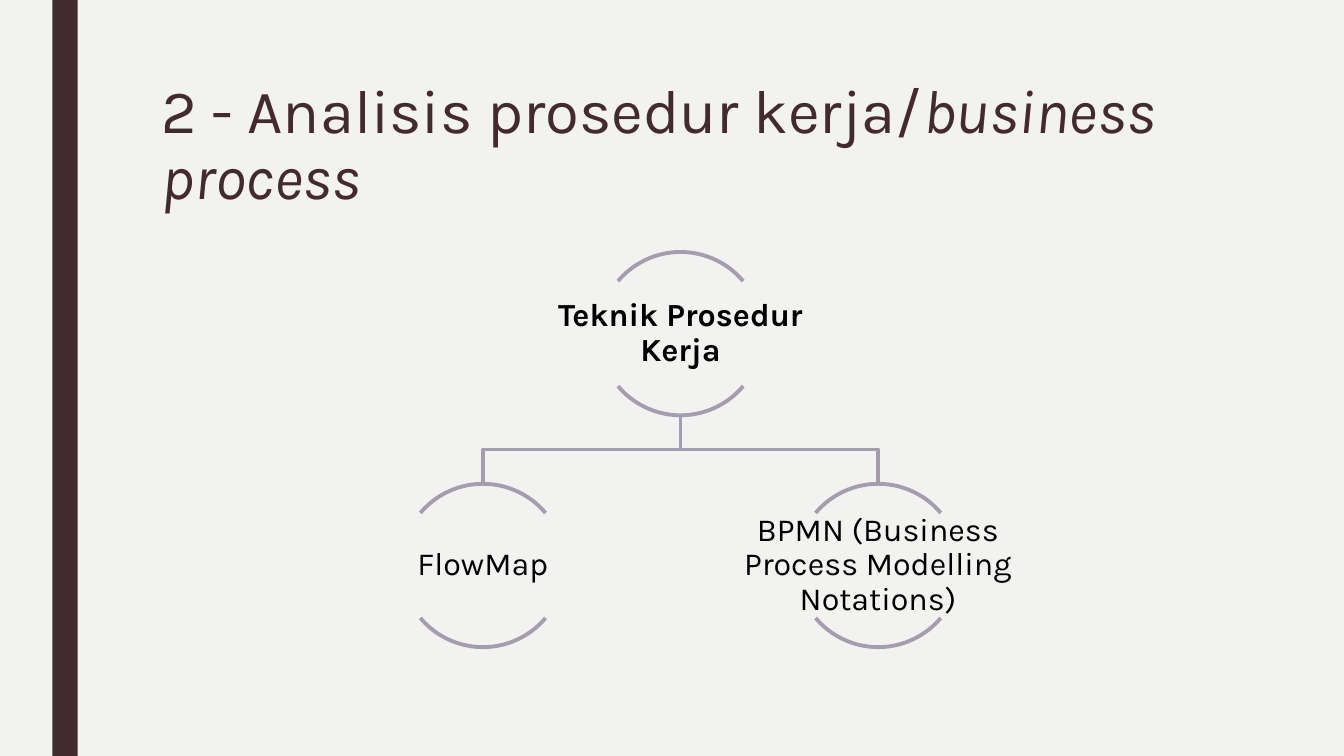
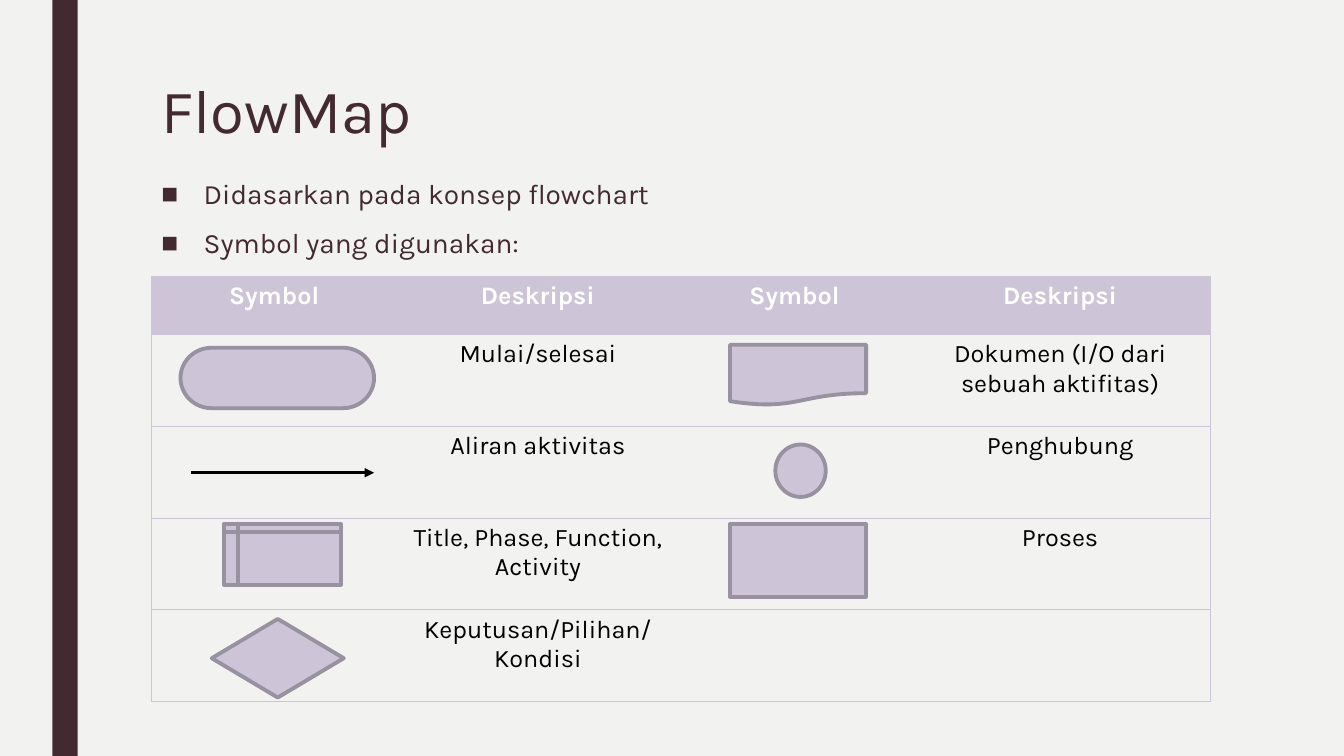
from lxml.etree import SubElement
from pptx import Presentation
from pptx.dml.color import RGBColor
from pptx.enum.shapes import MSO_CONNECTOR, MSO_SHAPE as SHAPE
from pptx.enum.text import MSO_ANCHOR as ANCHOR, MSO_AUTO_SIZE, PP_ALIGN as ALIGN
from pptx.oxml.ns import qn
from pptx.util import Inches, Pt

FONT = "Karla"
PAPER, PLUM, LILAC = "F2F2F0", "432A30", "CDC4D8"
BRANCH, OUTLINE, BLACK, WHITE = "A49DAD", "9891A0", "000000", "FFFFFF"

TITLES = [
    [("2 - Analisis prosedur kerja/", False), ("business process", True)],
    [("FlowMap", False)],
]
ROOT = ("Teknik Prosedur Kerja", 6.75, 2.5)
CHILDREN = [
    ("FlowMap", 4.79, 4.8),
    ("BPMN (Business Process Modelling Notations)", 8.71, 4.8),
]
CIRCLE = 1.62
ARCS = [(132, 192), (24, 84)]

BULLETS = ["Didasarkan pada konsep flowchart", "Symbol yang digunakan:"]
ROWS = [
    ["Symbol", "Deskripsi", "Symbol", "Deskripsi"],
    ["", "Mulai/selesai", "", "Dokumen (I/O dari sebuah aktifitas)"],
    ["", "Aliran aktivitas", "", "Penghubung"],
    ["", "Title, Phase, Function, Activity", "", "Proses"],
    ["", "Keputusan/Pilihan/Kondisi", "", ""],
]
COL_WIDTHS = [2.44, 2.79, 2.3, 2.97]
ROW_HEIGHTS = [0.58] + [0.91] * 4
SYMBOLS = [
    (SHAPE.FLOWCHART_TERMINATOR, 1.79, 3.45, 1.92, 0.6),
    (SHAPE.FLOWCHART_INTERNAL_STORAGE, 2.22, 5.2, 1.16, 0.6),
    (SHAPE.FLOWCHART_DECISION, 2.1, 6.14, 1.31, 0.78),
    (SHAPE.FLOWCHART_DOCUMENT, 7.24, 3.42, 1.35, 0.6),
    (SHAPE.FLOWCHART_CONNECTOR, 7.69, 4.41, 0.5, 0.52),
    (SHAPE.FLOWCHART_PROCESS, 7.24, 5.2, 1.35, 0.72),
]
FLOW_ARROW = (1.89, 4.69, 3.71, 4.69)
NO_STYLE = "{2D5ABB26-0587-4C30-8999-92F81FD0307C}"


def rgb(value):
    return RGBColor.from_string(value)


def inches(*values):
    return [Inches(v) for v in values]


def place(shape, *box):
    shape.left, shape.top, shape.width, shape.height = inches(*box)


def write(p, text, size=18, color=BLACK, bold=False, italic=False,
          align=None, spacing=None):
    r = p.add_run()
    r.text = text
    font = r.font
    font.name, font.size, font.bold, font.italic = FONT, Pt(size), bold, italic
    font.color.rgb = rgb(color)
    if align is not None:
        p.alignment = align
    if spacing:
        p.line_spacing = spacing


def paint(shape, fill=None, line=None, width=2.75):
    shape.shadow.inherit = False
    if fill:
        shape.fill.solid()
        shape.fill.fore_color.rgb = rgb(fill)
    else:
        shape.fill.background()
    if line:
        shape.line.color.rgb = rgb(line)
        shape.line.width = Pt(width)
    else:
        shape.line.fill.background()


def set_up_master(prs, s):
    master = prs.slide_master
    master.background.fill.solid()
    master.background.fill.fore_color.rgb = rgb(PAPER)
    band = s.shapes.add_shape(SHAPE.RECTANGLE, *inches(0.52, 0, 0.25, 7.5))
    paint(band, PLUM)
    master.shapes.element.insert(2, band.element)
    title = master.placeholders[0]
    place(title, 1.5, 0.75, 10.5, 1.62)
    title.text_frame.vertical_anchor = ANCHOR.TOP
    title.text_frame.auto_size = MSO_AUTO_SIZE.NONE


def add_slide(prs, layout, title):
    s = prs.slides.add_slide(prs.slide_layouts[layout])
    p = s.shapes.title.text_frame.paragraphs[0]
    for text, italic in title:
        write(p, text, size=44, color=PLUM, italic=italic,
              align=ALIGN.LEFT, spacing=0.89)
    return s


def add_branch(s, start, end):
    x1, y1 = start
    x2, y2 = end
    mid = (y1 + y2) / 2
    path = [inches(*point) for point in [(x1, mid), (x2, mid), (x2, y2)]]
    outline = s.shapes.build_freeform(*inches(x1, y1))
    outline.add_line_segments(path, close=False)
    paint(outline.convert_to_shape(), line=BRANCH)


def add_node(s, text, cx, top, bold=False):
    for start, end in ARCS:
        arc = s.shapes.add_shape(
            SHAPE.ARC, *inches(cx - CIRCLE / 2, top, CIRCLE, CIRCLE))
        arc.adjustments[0], arc.adjustments[1] = start, end
        paint(arc, line=BRANCH)
    label = s.shapes.add_textbox(
        *inches(cx - CIRCLE, top + 0.29, 2 * CIRCLE, 1.04))
    tf = label.text_frame
    tf.word_wrap = True
    tf.vertical_anchor = ANCHOR.MIDDLE
    tf.margin_left = tf.margin_right = Inches(0.02)
    tf.margin_top = tf.margin_bottom = Inches(0.02)
    write(tf.paragraphs[0], text, size=23, bold=bold,
          align=ALIGN.CENTER, spacing=0.9)


def add_bullets(s, items):
    body = s.placeholders[1]
    place(body, 1.5, 1.73, 10.5, 4.69)
    tf = body.text_frame
    tf.auto_size = MSO_AUTO_SIZE.NONE
    for i, text in enumerate(items):
        p = tf.add_paragraph() if i else tf.paragraphs[0]
        write(p, text, size=20, color=PLUM, spacing=0.94)
        p.space_before, p.space_after = Pt(10), Pt(2)
        pPr = p._p.get_or_add_pPr()
        pPr.set("marL", str(Inches(0.42)))
        pPr.set("indent", str(-Inches(0.42)))
        SubElement(pPr, qn("a:buFont"), typeface="Arial")
        SubElement(pPr, qn("a:buChar"), char="■")


def add_borders(cell, sides):
    tcPr = cell._tc.get_or_add_tcPr()
    for i, side in enumerate(sides):
        ln = tcPr.makeelement(qn("a:ln" + side), {"w": str(Pt(0.5))})
        fill = SubElement(ln, qn("a:solidFill"))
        SubElement(fill, qn("a:srgbClr"), val=LILAC)
        tcPr.insert(i, ln)


def add_symbol_table(s):
    frame = s.shapes.add_table(
        len(ROWS), len(COL_WIDTHS),
        *inches(1.5, 2.74, sum(COL_WIDTHS), sum(ROW_HEIGHTS)))
    table = frame.table
    table.first_row = table.horz_banding = False
    for style in frame.element.iter(qn("a:tableStyleId")):
        style.text = NO_STYLE
    for column, width in zip(table.columns, COL_WIDTHS):
        column.width = Inches(width)
    for row, height in zip(table.rows, ROW_HEIGHTS):
        row.height = Inches(height)
    last = len(COL_WIDTHS) - 1
    for i, texts in enumerate(ROWS):
        for j, text in enumerate(texts):
            cell = table.cell(i, j)
            header = i == 0
            if header:
                cell.fill.solid()
                cell.fill.fore_color.rgb = rgb(LILAC)
            else:
                cell.fill.background()
            if text:
                write(cell.text_frame.paragraphs[0], text, bold=header,
                      color=WHITE if header else BLACK, align=ALIGN.CENTER)
            sides = ["L"] * (j == 0) + ["R"] * (j == last) + ["T", "B"]
            add_borders(cell, sides)


def add_arrow(s, *ends):
    arrow = s.shapes.add_connector(MSO_CONNECTOR.STRAIGHT, *inches(*ends))
    arrow.line.color.rgb = rgb(BLACK)
    arrow.line.width = Pt(2.25)
    spPr = arrow.element.spPr
    SubElement(spPr.find(qn("a:ln")), qn("a:tailEnd"), type="triangle")
    SubElement(spPr, qn("a:effectLst"))


prs = Presentation()
prs.slide_width, prs.slide_height = inches(13.33, 7.5)

s = add_slide(prs, 5, TITLES[0])
set_up_master(prs, s)
_, root_x, root_top = ROOT
for _, x, top in reversed(CHILDREN):
    add_branch(s, (root_x, root_top + CIRCLE), (x, top))
add_node(s, *ROOT, bold=True)
for child in CHILDREN:
    add_node(s, *child)

s = add_slide(prs, 1, TITLES[1])
add_bullets(s, BULLETS)
add_symbol_table(s)
for kind, *box in SYMBOLS:
    paint(s.shapes.add_shape(kind, *inches(*box)), LILAC, OUTLINE)
add_arrow(s, *FLOW_ARROW)

prs.save("out.pptx")
